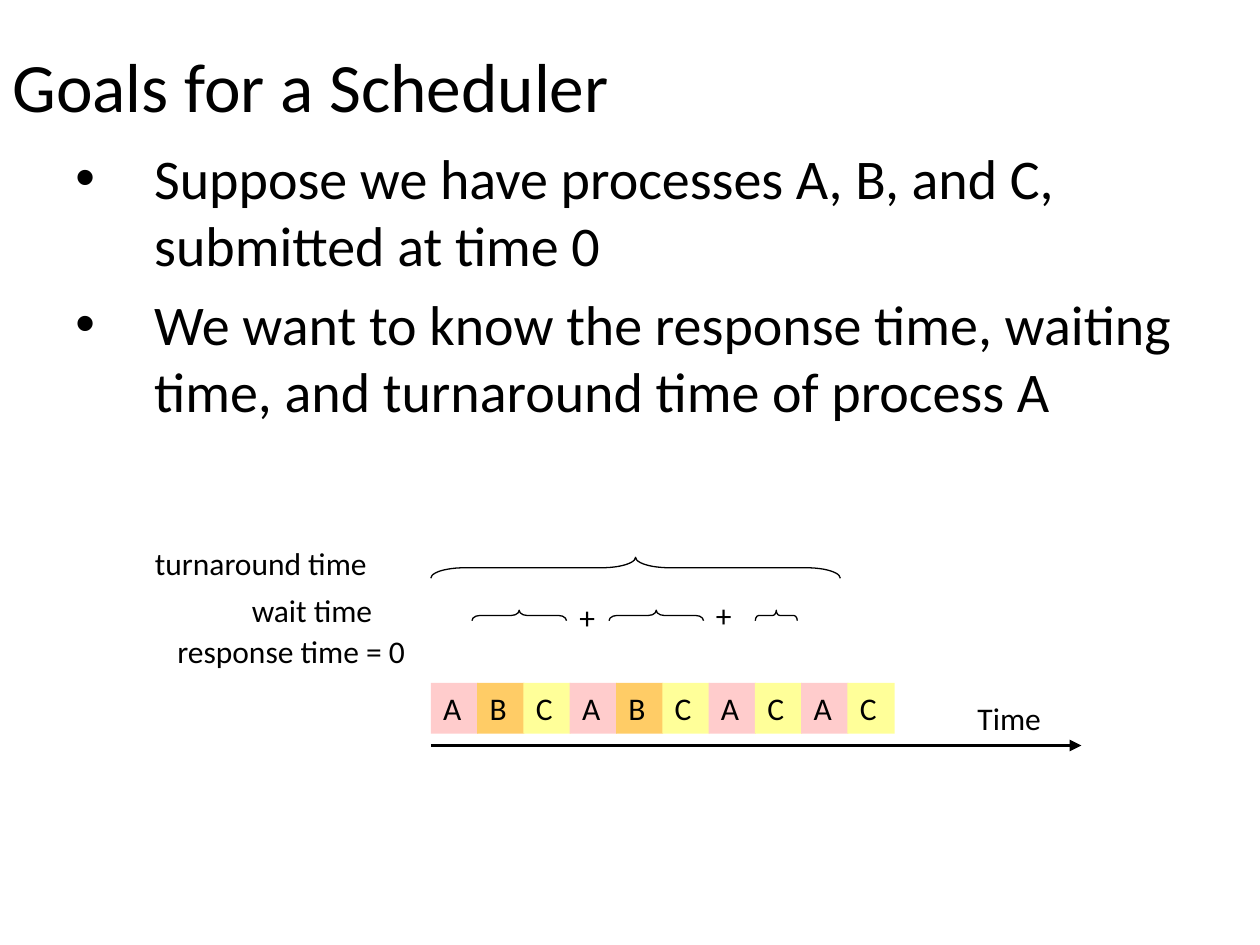
from lxml import etree
from pptx import Presentation
from pptx.dml.color import RGBColor
from pptx.enum import shapes, text
from pptx.oxml import ns
from pptx.util import Pt

COLORS = {"ink": "000000", "A": "FFCCCC", "B": "FFCC66", "C": "FFFF99"}
FONT = "Calibri"


def format_text(frame, size, wrap=False):
    frame.word_wrap = wrap
    frame.auto_size = (text.MSO_AUTO_SIZE.NONE if wrap
                       else text.MSO_AUTO_SIZE.SHAPE_TO_FIT_TEXT)
    for paragraph in frame.paragraphs:
        paragraph.alignment = text.PP_ALIGN.LEFT
        for run in paragraph.runs:
            run.font.name = FONT
            run.font.size = Pt(size)
            run.font.color.rgb = RGBColor.from_string(COLORS["ink"])


prs = Presentation()
prs.slide_width, prs.slide_height = Pt(720), Pt(540)
slide = prs.slides.add_slide(prs.slide_layouts[5])

# Title
title = slide.shapes.title
title.left, title.top, title.width, title.height = Pt(0), Pt(22.5), Pt(648), Pt(52)
title.text_frame.text = "Goals for a Scheduler"
title.text_frame.vertical_anchor = text.MSO_ANCHOR.MIDDLE
format_text(title.text_frame, 39.6, wrap=True)

# Bulleted goals
goals = slide.shapes.add_textbox(Pt(36), Pt(78.5), Pt(684), Pt(404))
goals.text_frame.text = (
    "Suppose we have processes A, B, and C, submitted at time 0\n"
    "We want to know the response time, waiting time, "
    "and turnaround time of process A"
)
for index, goal in enumerate(goals.text_frame.paragraphs):
    props = goal._p.get_or_add_pPr()
    props.set("marL", str(Pt(45)))
    props.set("indent", str(-Pt(45)))
    etree.SubElement(props, ns.qn("a:buFont")).set("typeface", "Arial")
    etree.SubElement(props, ns.qn("a:buChar")).set("char", "•")
    goal.space_before = Pt(6.4 if index else 0)
format_text(goals.text_frame, 32, wrap=True)

# Schedule of time slices
slice_left, slice_pitch = 246.2, 26.45
for index, process in enumerate("ABCABCACAC"):
    time_slice = slide.shapes.add_shape(
        shapes.MSO_SHAPE.RECTANGLE, Pt(slice_left + index * slice_pitch),
        Pt(390.2), Pt(27), Pt(29))
    time_slice.shadow.inherit = False
    time_slice.fill.solid()
    time_slice.fill.fore_color.rgb = RGBColor.from_string(COLORS[process])
    time_slice.line.fill.background()
    time_slice.text_frame.text = process
    format_text(time_slice.text_frame, 18)

# Time axis
axis = slide.shapes.add_connector(
    shapes.MSO_CONNECTOR.STRAIGHT, Pt(slice_left), Pt(426), Pt(618), Pt(426))
axis.line.width = Pt(2.25)
axis.line.color.rgb = RGBColor.from_string(COLORS["ink"])
etree.SubElement(axis.line._get_or_add_ln(), ns.qn("a:tailEnd")).set("type", "triangle")
etree.SubElement(axis._element.spPr, ns.qn("a:effectLst"))

# Labels and plus signs
for wording, left, top, width in [
    ("Time", 551.5, 396, 55),
    ("turnaround time", 81.4, 307.4, 140),
    ("wait time", 136.8, 334, 86),
    ("response time = 0", 94.3, 357.8, 158),
    ("+", 324, 338, 25),
    ("+", 402, 337, 25),
]:
    label = slide.shapes.add_textbox(Pt(left), Pt(top), Pt(width), Pt(29))
    label.text_frame.text = wording
    format_text(label.text_frame, 18)

# Braces over the turnaround time and each wait, turned to point up
for center_x, center_y, span, depth, curve in [
    (363.2, 324.4, 234, 12, 1.625),
    (296.7, 351.7, 54, 6, 0.75),
    (375, 351.7, 54, 6, 0.75),
    (443.6, 351.7, 24, 6, 0.333),
]:
    brace = slide.shapes.add_shape(
        shapes.MSO_SHAPE.RIGHT_BRACE, Pt(center_x - depth / 2),
        Pt(center_y - span / 2), Pt(depth), Pt(span))
    brace.rotation = 270
    brace.adjustments[0] = curve
    brace.adjustments[1] = 0.5
    brace.shadow.inherit = False
    brace.fill.background()
    brace.line.width = Pt(0.75)
    brace.line.color.rgb = RGBColor.from_string(COLORS["ink"])

prs.save("out.pptx")
